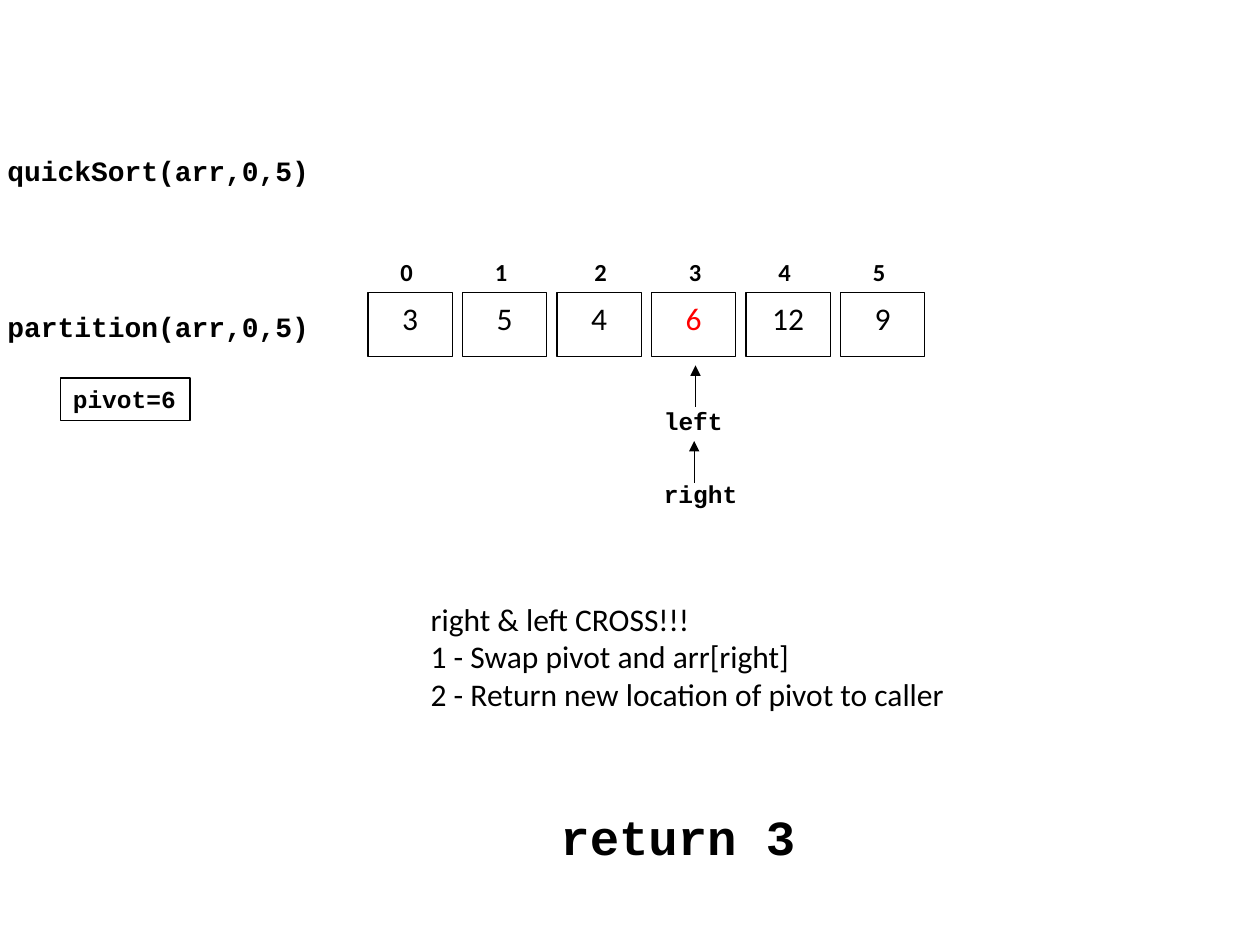
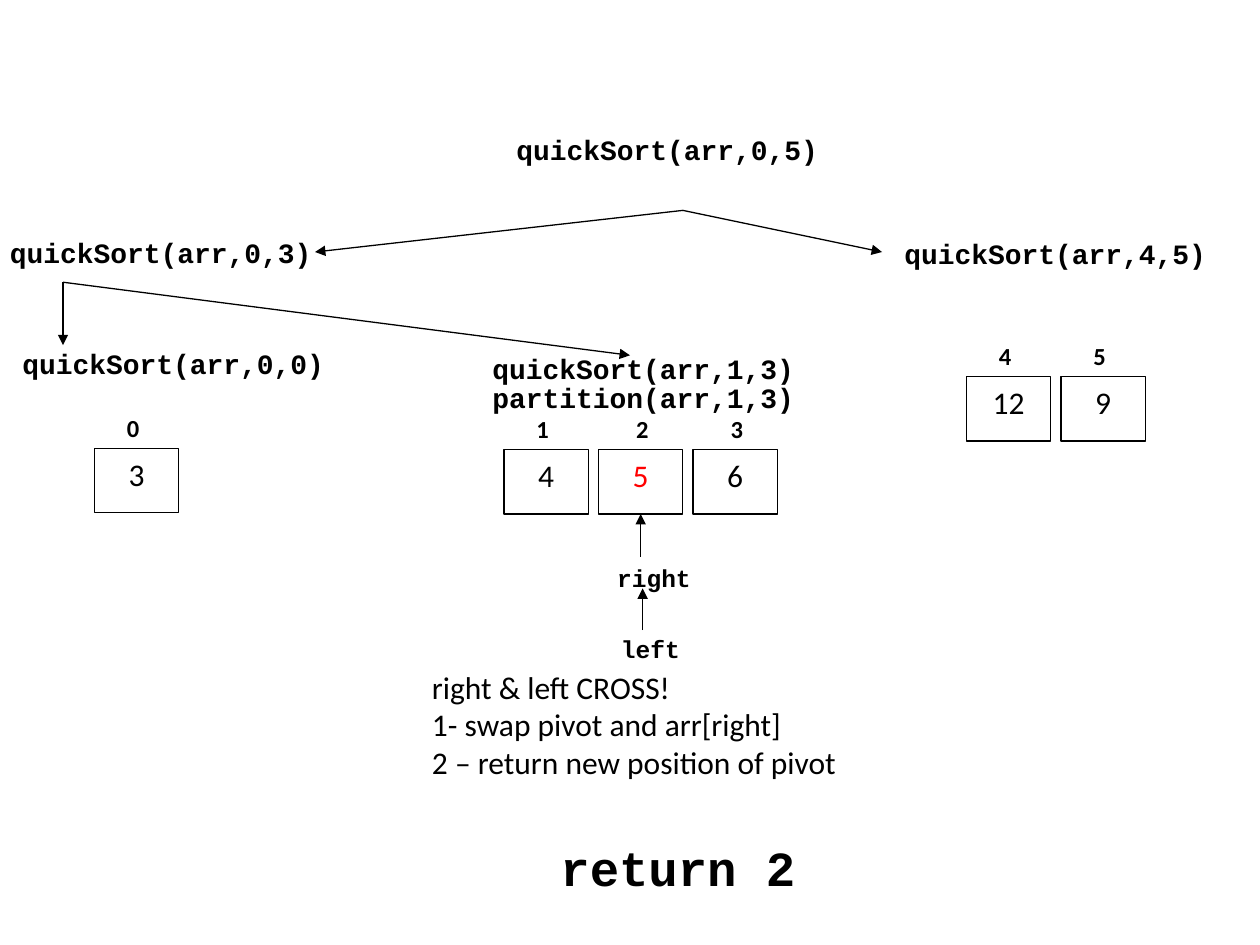
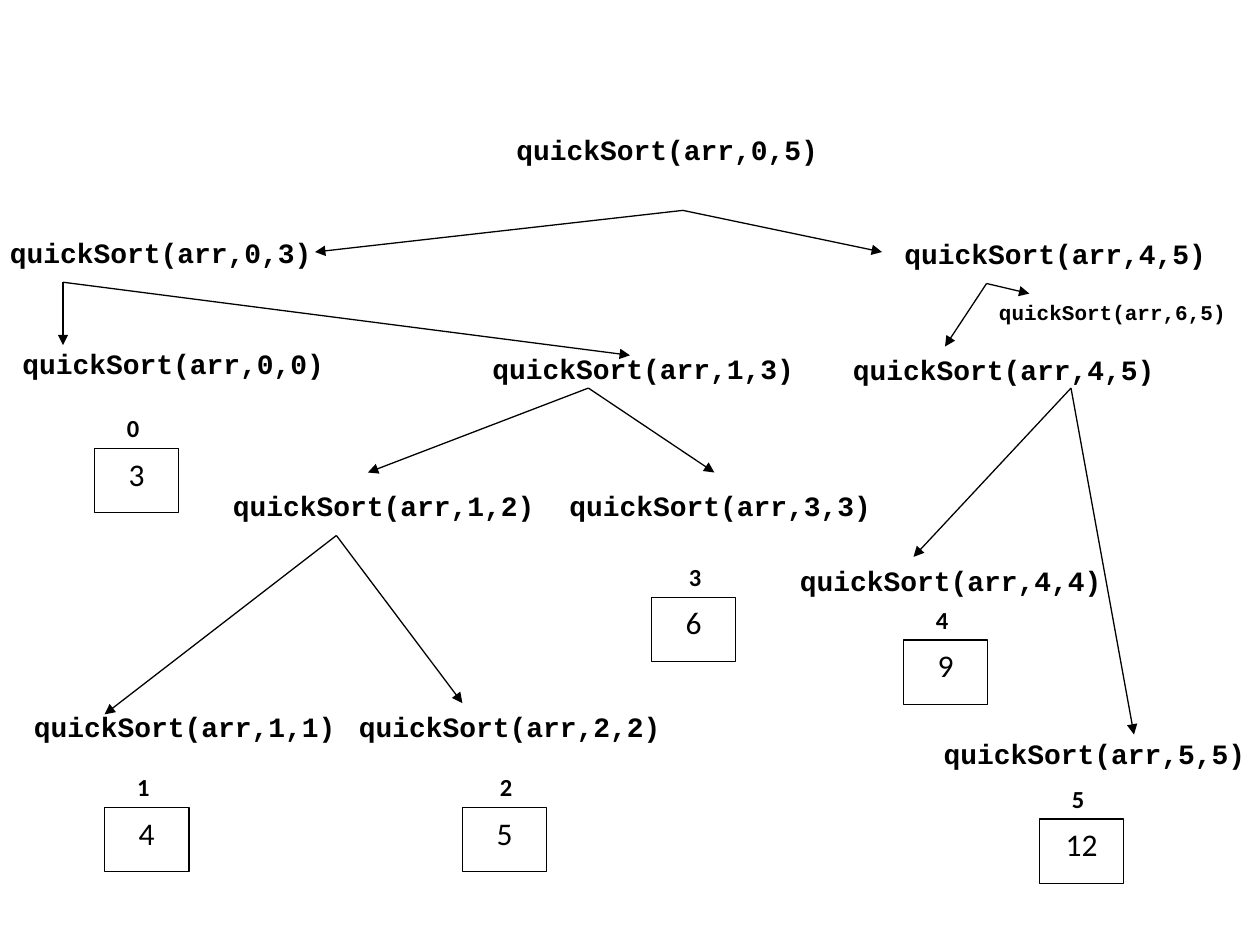
"""Builds three slides that trace the quicksort calls on a six-number array."""
from lxml.etree import SubElement
from pptx import Presentation
from pptx.dml.color import RGBColor
from pptx.enum.shapes import MSO_CONNECTOR as Line, MSO_SHAPE as Shape
from pptx.enum.text import MSO_ANCHOR as Anchor, MSO_AUTO_SIZE as Fit, PP_ALIGN as Align
from pptx.oxml.ns import qn
from pptx.util import Inches, Pt

BLACK = RGBColor(0, 0, 0)
RED = RGBColor(255, 0, 0)
CODE, BODY = "Courier New", "Calibri"
CELL_W, CELL_H, STEP = 0.67, 0.51, 0.75
TAG_W, TAG_H = 0.3, 0.33
CALL_W, CALL_H = 2.61, 0.37
THIN = Pt(0.75)

# Calls: left, top, text. Rows: left, top, first index, values, pivot.
# Arrows: start x, start y, end x, end y, then the index of a cell joined from below.
# Marks: left, top, width, text. Notes: left, top, width, lines.
TREE_CALLS = [
    (4, 1, "quickSort(arr,0,5)"),
    (-0.02, 1.82, "quickSort(arr,0,3)"),
    (7.08, 1.83, "quickSort(arr,4,5)"),
    (0.08, 2.7, "quickSort(arr,0,0)"),
    (3.81, 2.74, "quickSort(arr,1,3)"),
]
TREE_ROWS = [(0.75, 3.56, 0, [3], None)]
TREE_ARROWS = [
    (5.42, 1.67, 2.5, 2),
    (5.42, 1.67, 7, 2),
    (0.5, 2.24, 0.5, 2.74),
    (0.5, 2.24, 5, 2.82),
]

SLIDES = [
    {
        "calls": [(-0.04, 1.17, "quickSort(arr,0,5)"), (-0.04, 2.41, "partition(arr,0,5)")],
        "rows": [(2.92, 2.32, 0, [3, 5, 4, 6, 12, 9], 6)],
        "arrows": [(5.52, 3.23, 5.52, 2.9), (5.51, 3.83, 5.51, 3.5)],
        "marks": [(5.17, 3.17, 0.68, "left"), (5.17, 3.75, 0.8, "right")],
        "pivot": (0.48, 3, 1.03, 0.34, "pivot=6"),
        "note": (3.32, 4.71, 5.64, [
            "right & left CROSS!!!",
            "1 - Swap pivot and arr[right]",
            "2 - Return new location of pivot to caller",
        ]),
        "result": (6.35, "return 3"),
    },
    {
        "calls": TREE_CALLS + [(3.81, 2.97, "partition(arr,1,3)")],
        "rows": TREE_ROWS + [(7.67, 2.99, 4, [12, 9], None), (4, 3.57, 1, [4, 5, 6], 5)],
        "arrows": TREE_ARROWS + [(5.1, 5, 5.1, 4.67), (5.09, 4.42, 5.09, 4.08, 2)],
        "marks": [(4.83, 4.98, 0.68, "left"), (4.8, 4.42, 0.8, "right")],
        "note": (3.33, 5.25, 4.42, [
            "right & left CROSS!",
            "1- swap pivot and arr[right]",
            "2 – return new position of pivot",
        ]),
        "result": (6.6, "return 2"),
    },
    {
        "calls": TREE_CALLS + [
            (1.75, 3.83, "quickSort(arr,1,2)"),
            (4.42, 3.83, "quickSort(arr,3,3)"),
            (0.17, 5.58, "quickSort(arr,1,1)"),
            (2.75, 5.58, "quickSort(arr,2,2)"),
            (6.67, 2.75, "quickSort(arr,4,5)"),
            (6.25, 4.42, "quickSort(arr,4,4)"),
            (7.39, 5.8, "quickSort(arr,5,5)"),
        ],
        "rows": TREE_ROWS + [
            (5.17, 4.74, 3, [6], None),
            (0.83, 6.41, 1, [4], None),
            (3.67, 6.41, 2, [5], None),
            (7.17, 5.08, 4, [9], None),
            (8.25, 6.5, 5, [12], None),
        ],
        "arrows": TREE_ARROWS + [
            (4.67, 3.08, 2.92, 3.75),
            (4.67, 3.08, 5.67, 3.75),
            (2.67, 4.25, 0.83, 5.67),
            (2.67, 4.25, 3.67, 5.58),
            (8.5, 3.08, 7.25, 4.42),
            (8.5, 3.08, 9, 5.83),
            (7.83, 2.25, 7.5, 2.75),
            (7.83, 2.25, 8.17, 2.33),
        ],
        "small": (7.83, 2.33, 2.01, 0.3, "quickSort(arr,6,5)"),
    },
]


def write(shape, lines, size, face, bold=False, color=BLACK, align=Align.LEFT):
    """Fill a shape with paragraphs in one style."""
    frame = shape.text_frame
    frame.text = "\n".join(lines)
    frame.vertical_anchor = Anchor.TOP
    for para in frame.paragraphs:
        para.alignment = align
        font = para.font
        font.name, font.size, font.bold = face, Pt(size), bold
        font.color.rgb = color


def label(slide, left, top, width, height, lines, size, face=CODE, bold=True):
    """Add a text box that does not wrap."""
    box = slide.shapes.add_textbox(*map(Inches, (left, top, width, height)))
    write(box, lines, size, face, bold)
    box.text_frame.word_wrap = False
    box.text_frame.auto_size = Fit.SHAPE_TO_FIT_TEXT


def frame_box(slide, left, top, width, height):
    """Add an unfilled rectangle with a thin black outline."""
    box = slide.shapes.add_shape(Shape.RECTANGLE, *map(Inches, (left, top, width, height)))
    box.shadow.inherit = False
    box.fill.background()
    box.line.color.rgb = BLACK
    box.line.width = THIN
    return box


def add_row(slide, left, top, first, values, pivot):
    """Draw array cells under their indexes and return the cells by index."""
    cells = {}
    for col, value in enumerate(values):
        index, x = first + col, left + col * STEP
        cell = cells[index] = frame_box(slide, x, top, CELL_W, CELL_H)
        color = RED if value == pivot else BLACK
        write(cell, [str(value)], 18, BODY, color=color, align=Align.CENTER)
        inset = 0.2 if index in (2, 3) else 0.16
        label(slide, x + inset, top - TAG_H, TAG_W, TAG_H, [str(index)], 14, BODY)
    return cells


def add_arrow(slide, cells, x1, y1, x2, y2, goal=None):
    """Draw an arrow, joined upright to the bottom of a cell if one is given."""
    line = slide.shapes.add_connector(Line.STRAIGHT, *map(Inches, (x1, y1, x2, y2)))
    if goal is not None:
        line.end_connect(cells[goal], 2)
        line.begin_x = line.end_x
    line.line.color.rgb = BLACK
    line.line.width = THIN
    SubElement(line.line._get_or_add_ln(), qn("a:tailEnd"), type="triangle")
    SubElement(line._element.spPr, qn("a:effectLst"))


def build(slide, data):
    """Draw one step of the trace."""
    cells = {}
    for row in data["rows"]:
        cells.update(add_row(slide, *row))
    for left, top, text in data["calls"]:
        label(slide, left, top, CALL_W, CALL_H, [text], 16)
    for arrow in data["arrows"]:
        add_arrow(slide, cells, *arrow)
    for left, top, width, text in data.get("marks", []):
        label(slide, left, top, width, TAG_H, [text], 14)
    if "small" in data:
        *place, text = data["small"]
        label(slide, *place, [text], 12)
    if "pivot" in data:
        *place, text = data["pivot"]
        box = frame_box(slide, *place)
        write(box, [text], 14, CODE, bold=True)
        box.text_frame.word_wrap = False
    if "note" in data:
        left, top, width, lines = data["note"]
        label(slide, left, top, width, 1.3, lines, 18, BODY, bold=False)
    if "result" in data:
        top, text = data["result"]
        label(slide, 4.35, top, 2.1, 0.57, [text], 28)


def main():
    """Build the deck and save it."""
    deck = Presentation()
    deck.slide_width, deck.slide_height = Inches(10), Inches(7.5)
    for data in SLIDES:
        build(deck.slides.add_slide(deck.slide_layouts[6]), data)
    deck.save("out.pptx")


if __name__ == "__main__":
    main()
